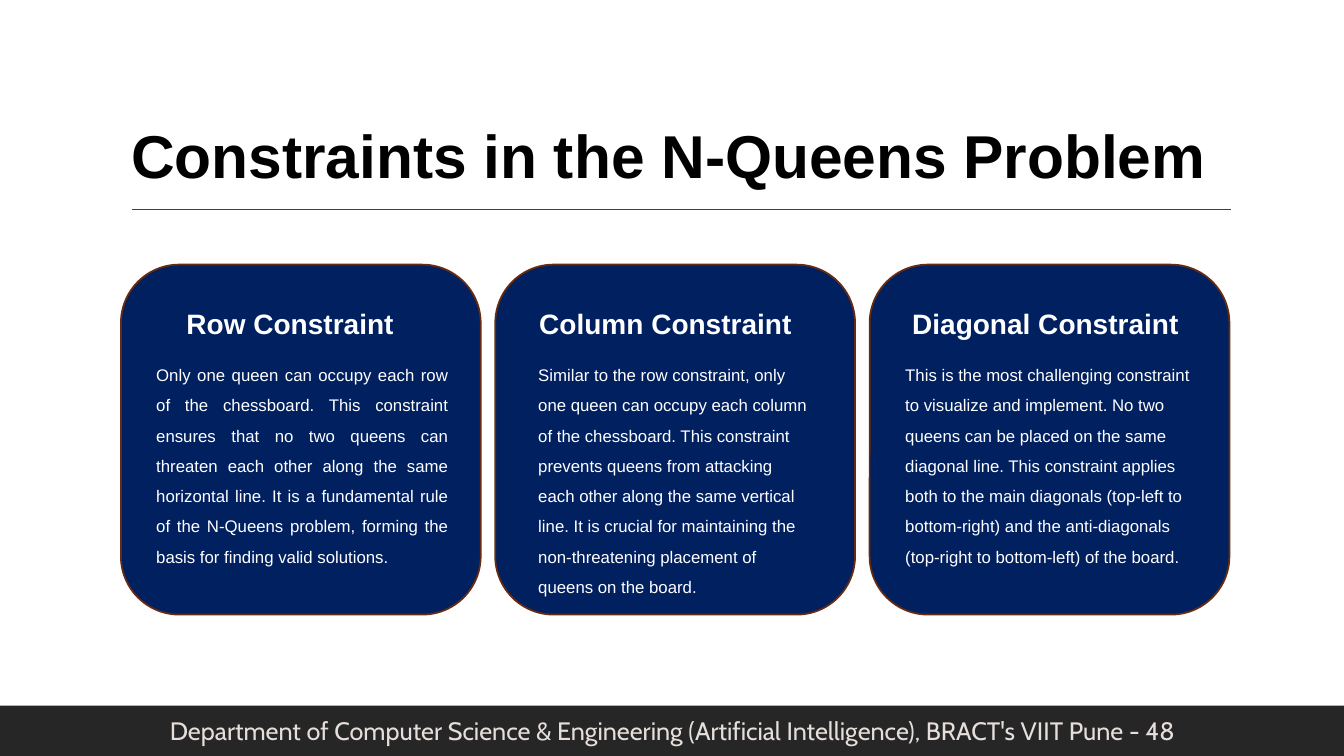
from pptx import Presentation
from pptx.dml.color import RGBColor
from pptx.enum.shapes import MSO_CONNECTOR, MSO_SHAPE
from pptx.enum.text import MSO_ANCHOR, PP_ALIGN
from pptx.oxml.ns import qn
from pptx.util import Pt
from lxml import etree

RECT, ROUNDED = MSO_SHAPE.RECTANGLE, MSO_SHAPE.ROUNDED_RECTANGLE
STRAIGHT = MSO_CONNECTOR.STRAIGHT
TOP, BOTTOM = MSO_ANCHOR.TOP, MSO_ANCHOR.BOTTOM
LEFT, CENTER, JUSTIFY = PP_ALIGN.LEFT, PP_ALIGN.CENTER, PP_ALIGN.JUSTIFY

# Content
TITLE = "Constraints in the N-Queens Problem"
FOOTER = ("Department of Computer Science & Engineering (Artificial Intelligence), "
          "BRACT's VIIT Pune - 48")
# heading, (left, width), body, (left, width), body alignment
CARDS = [
    ("Row Constraint", (133.2, 163.4),
     "Only one queen can occupy each row of the chessboard. This constraint ensures "
     "that no two queens can threaten each other along the same horizontal line. It is "
     "a fundamental rule of the N-Queens problem, forming the basis for finding valid "
     "solutions.", (111.6, 208.8), JUSTIFY),
    ("Column Constraint", (385.2, 185),
     "Similar to the row constraint, only one queen can occupy each column of the "
     "chessboard. This constraint prevents queens from attacking each other along the "
     "same vertical line. It is crucial for maintaining the non-threatening placement "
     "of queens on the board.", (384.5, 196.6), LEFT),
    ("Diagonal Constraint", (651.6, 196.6),
     "This is the most challenging constraint to visualize and implement. No two queens "
     "can be placed on the same diagonal line. This constraint applies both to the main "
     "diagonals (top-left to bottom-right) and the anti-diagonals (top-right to "
     "bottom-left) of the board.", (646.6, 207.4), LEFT),
]
COLORS = {"bar": "262626", "rule": "3F3F3F", "title": "000000", "card": "002060",
          "edge": "662B10", "text": "FFFFFF", "footer": "E5DEDB"}

# Layout
SLIDE_W, SLIDE_H = 960, 540
BAR_H = 36
CARD_X, CARD_Y, CARD_W, CARD_H = 86.4, 189, 257, 250
CARD_STEP = 267.4
HEADING_Y, HEADING_H = 215.3, 26.6
BODY_Y, BODY_H = 253.4, 157


def color(name):
    return RGBColor.from_string(COLORS[name])


def add_box(s, kind, x, y, w, h, fill, edge=None):
    sp = s.shapes.add_shape(kind, Pt(x), Pt(y), Pt(w), Pt(h))
    sp.shadow.inherit = False
    sp.fill.solid()
    sp.fill.fore_color.rgb = color(fill)
    if edge:
        sp.line.color.rgb = color(edge)
        sp.line.width = Pt(1.25)
    else:
        sp.line.fill.background()


def write(sp, text, size, ink, bold=False, font="Arial", align=LEFT, spacing=1.0,
          inset=(0, 0), anchor=TOP):
    tf = sp.text_frame
    tf.word_wrap = True
    tf.vertical_anchor = anchor
    tf.margin_left = tf.margin_right = Pt(inset[0])
    tf.margin_top = tf.margin_bottom = Pt(inset[1])
    p = tf.paragraphs[0]
    p.alignment = align
    p.line_spacing = spacing
    r = p.add_run()
    r.text = text
    r.font.name = font
    r.font.size = Pt(size)
    r.font.bold = bold
    r.font.color.rgb = color(ink)


def add_text(s, x, y, w, h, *args, **style):
    write(s.shapes.add_textbox(Pt(x), Pt(y), Pt(w), Pt(h)), *args, **style)


prs = Presentation()
prs.slide_width, prs.slide_height = Pt(SLIDE_W), Pt(SLIDE_H)
s = prs.slides.add_slide(prs.slide_layouts[5])

# Footer bar and title rule
add_box(s, RECT, 0, SLIDE_H - BAR_H, SLIDE_W, BAR_H, "bar")
rule = s.shapes.add_connector(STRAIGHT, Pt(94.3), Pt(149.5), Pt(879), Pt(149.5))
rule.line.color.rgb = color("rule")
rule.line.width = Pt(1)
etree.SubElement(rule._element.spPr, qn("a:effectLst"))

# Title
title = s.shapes.title
title.left, title.top, title.width, title.height = Pt(86.4), Pt(72.7), Pt(783), Pt(68.4)
write(title, TITLE, 43.2, "title", bold=True, spacing=0.96, inset=(7.2, 3.6), anchor=BOTTOM)

# Constraint cards
for i, (heading, (head_x, head_w), body, (body_x, body_w), align) in enumerate(CARDS):
    add_box(s, ROUNDED, CARD_X + i * CARD_STEP, CARD_Y, CARD_W, CARD_H, "card", "edge")
    add_text(s, head_x, HEADING_Y, head_w, HEADING_H, heading, 20, "text",
             bold=True, spacing=1.15)
    add_text(s, body_x, BODY_Y, body_w, BODY_H, body, 12, "text",
             align=align, spacing=1.5)

# Footer text
add_text(s, 13, 507.6, 934.6, 29, FOOTER, 18, "footer", font="Cabin",
         align=CENTER, inset=(7.2, 3.6))

prs.save("out.pptx")
